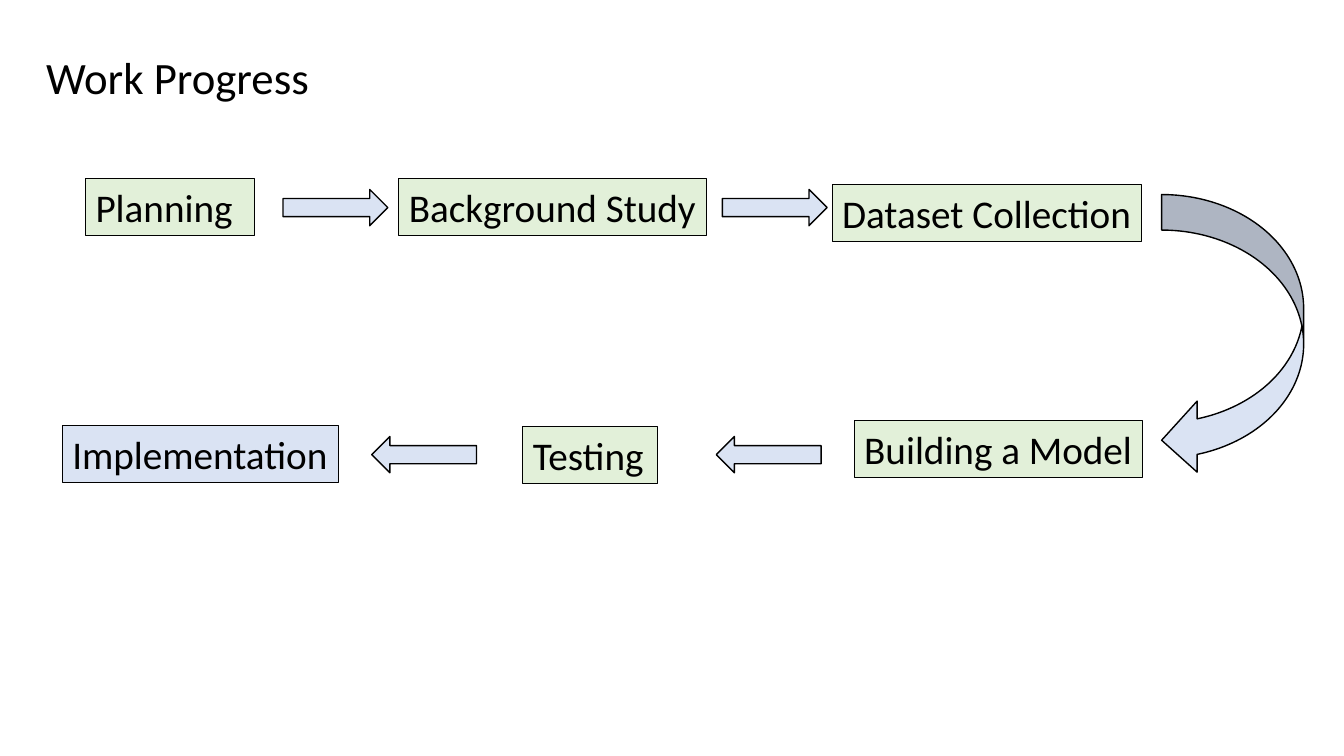
from pptx import Presentation
from pptx.dml.color import RGBColor
from pptx.enum import shapes, text
from pptx.util import Inches, Pt

THEME = {
    "font": "Calibri", "ink": "000000", "done": "E2F0D9", "open": "DAE3F3",
    "title": 32, "step": 28, "box_line": 0.75, "arrow_line": 1,
}

TITLE = ("Work Progress", (0.36, 0.21, 4.44, 0.87))

STEP_HEIGHT = 0.57
STEPS = [
    ("Planning", 0.85, 1.77, 1.68, "done", True),
    ("Background Study", 3.96, 1.77, 3.05, "done", False),
    ("Dataset Collection", 8.26, 1.83, 3.07, "done", False),
    ("Building a Model", 8.48, 4.17, 2.86, "done", False),
    ("Testing", 5.19, 4.23, 1.34, "done", False),
    ("Implementation", 0.62, 4.22, 2.74, "open", False),
]

ARROW_SIZE = (1.04, 0.36)
ARROW_ROWS = [
    (1.88, 0, [2.81, 7.17]),
    (4.33, 180, [7.11, 3.69]),
]
TURN = (11.53, 1.93, 1.41, 2.79)


def colour(key):
    return RGBColor.from_string(THEME[key])


def add_outlined(slide, kind, place, fill, line):
    part = slide.shapes.add_shape(kind, *map(Inches, place))
    part.shadow.inherit = False
    part.fill.solid()
    part.fill.fore_color.rgb = colour(fill)
    part.line.color.rgb = colour("ink")
    part.line.width = Pt(THEME[line])
    return part


def write(frame, words, size, anchor, wrap):
    frame.word_wrap = wrap
    frame.vertical_anchor = anchor
    line = frame.paragraphs[0]
    line.alignment = text.PP_ALIGN.LEFT
    run = line.add_run()
    run.text = words
    run.font.name = THEME["font"]
    run.font.size = Pt(THEME[size])
    run.font.color.rgb = colour("ink")
    return line


def main():
    deck = Presentation()
    deck.slide_width, deck.slide_height = Inches(13.34), Inches(7.5)
    slide = deck.slides.add_slide(deck.slide_layouts[6])

    words, place = TITLE
    title = slide.shapes.add_textbox(*map(Inches, place))
    heading = write(title.text_frame, words, "title", text.MSO_ANCHOR.BOTTOM, True)
    heading.line_spacing = 0.9

    for words, left, top, width, state, wrap in STEPS:
        step = add_outlined(slide, shapes.MSO_SHAPE.RECTANGLE,
                            (left, top, width, STEP_HEIGHT), state, "box_line")
        write(step.text_frame, words, "step", text.MSO_ANCHOR.TOP, wrap)
        step.text_frame.auto_size = text.MSO_AUTO_SIZE.SHAPE_TO_FIT_TEXT

    for top, turn, lefts in ARROW_ROWS:
        for left in lefts:
            arrow = add_outlined(slide, shapes.MSO_SHAPE.RIGHT_ARROW,
                                 (left, top, *ARROW_SIZE), "open", "arrow_line")
            arrow.rotation = turn

    add_outlined(slide, shapes.MSO_SHAPE.CURVED_LEFT_ARROW, TURN, "open", "arrow_line")
    deck.save("out.pptx")


if __name__ == "__main__":
    main()
